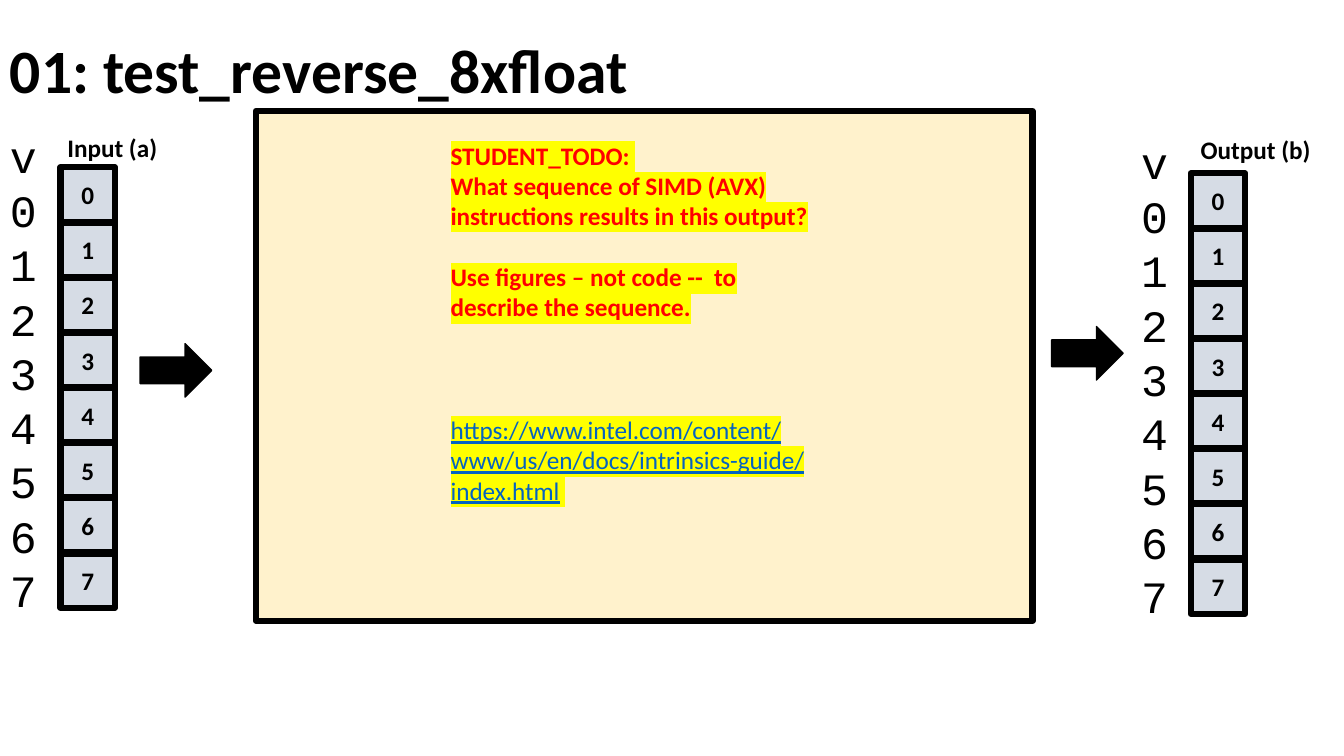
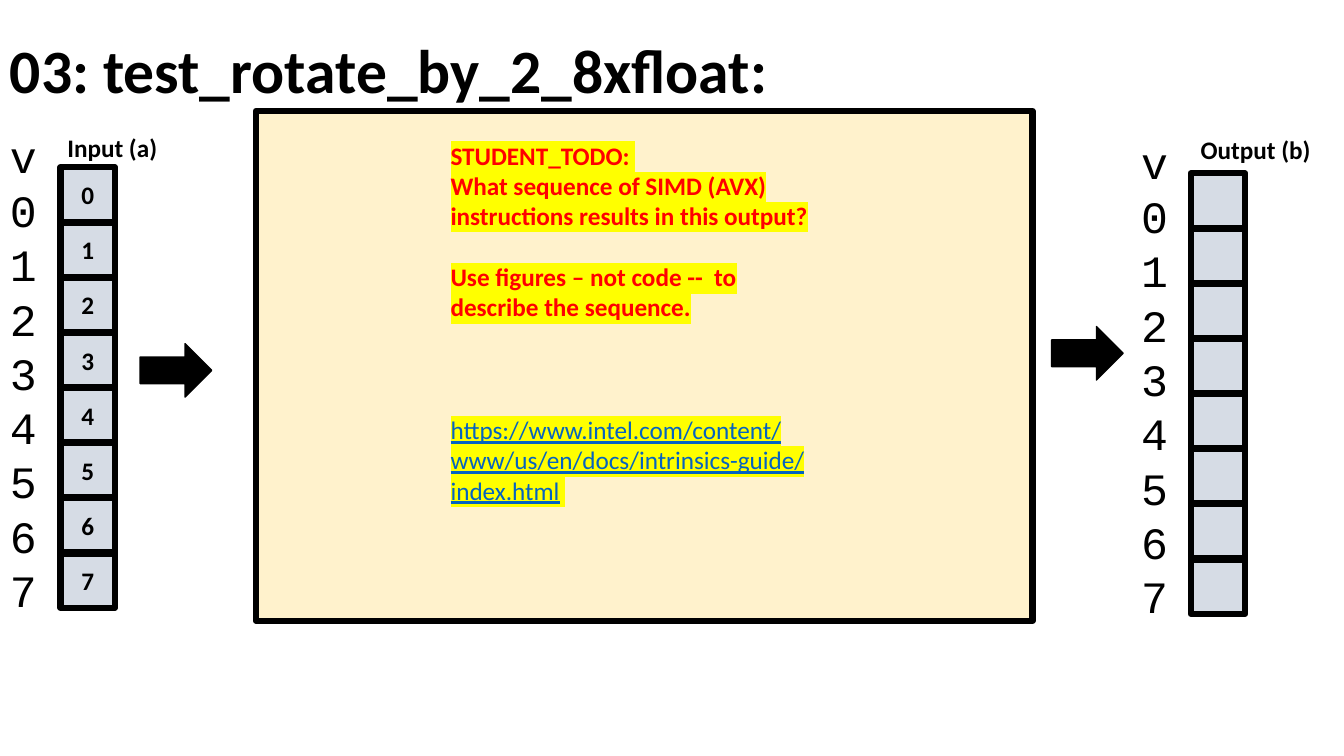
import pptx
import pptx.util
import pptx.dml.color
import pptx.enum.shapes
import pptx.enum.text
import pptx.oxml.ns
from lxml import etree

Inches, Pt = pptx.util.Inches, pptx.util.Pt
SHAPES = pptx.enum.shapes.MSO_SHAPE
ANCHOR = pptx.enum.text.MSO_ANCHOR
ALIGN = pptx.enum.text.PP_ALIGN

# Content
LANES = [str(lane) for lane in range(8)]
EXERCISES = [
    {"title": "01: test_reverse_8xfloat", "output": LANES},
    {"title": "03: test_rotate_by_2_8xfloat:", "output": [""] * len(LANES)},
]
# Task paragraphs: blank lines above, then the runs as (text, style)
TASK = [
    (0, [("STUDENT_TODO: ", "todo")]),
    (0, [("What sequence of SIMD (AVX) instructions results in this output?", "todo")]),
    (1, [("Use figures – not code --  to describe the sequence.", "todo")]),
    (3, [("https://www.intel.com/content/www/us/en/docs/intrinsics-guide/index.html", "address"),
         (" ", "plain")]),
]

# Style
COLORS = {"ink": "000000", "cell": "D6DCE5", "panel": "FFF2CC",
          "todo": "FF0000", "address": "0563C1", "marker": "FFFF00"}
RUN_STYLES = {  # colour, bold, underline
    "todo": ("todo", True, False),
    "address": ("address", False, True),
    "plain": ("todo", False, False),
}
SANS, MONO = "Calibri", "Courier New"
BODY_SIZE = 18
BODY_LINE = 22

# Geometry in inches
CELL = 0.54
CELL_PITCH = 3.83 / 7
VECTORS = {  # left edge and top of the cells, label and index positions
    "input": {"cells": (0.6, 1.66), "label": (0.57, 1.26, 1.16, 0.4),
              "index": (0, 1.22), "arrow": (1.39, 3.41)},
    "output": {"cells": (11.81, 1.72), "label": (11.81, 1.28, 1.79, 0.4),
               "index": (11.22, 1.28), "arrow": (10.43, 3.24)},
}
LABELS = {"input": "Input (a)", "output": "Output (b)"}


def color(name):
    return pptx.dml.color.RGBColor.from_string(COLORS[name])


def place(*lengths):
    return [Inches(length) for length in lengths]


def set_font(paragraph, size, name=SANS, bold=False):
    font = paragraph.font
    font.size, font.name, font.bold = Pt(size), name, bold
    font.color.rgb = color("ink")


def add_box(slide, kind, box, fill, line_width):
    shape = slide.shapes.add_shape(kind, *place(*box))
    shape.shadow.inherit = False
    shape.fill.solid()
    shape.fill.fore_color.rgb = color(fill)
    shape.line.color.rgb = color("ink")
    shape.line.width = Pt(line_width)
    return shape


def add_text(slide, box, lines, size, name=SANS, bold=False, spacing=None):
    frame = slide.shapes.add_textbox(*place(*box)).text_frame
    frame.word_wrap = True
    frame.text = "\n".join(lines)
    for paragraph in frame.paragraphs:
        if spacing:
            paragraph.line_spacing = spacing
        set_font(paragraph, size, name, bold)
    return frame


def highlight(run):
    properties = run.font._element
    marker = etree.Element(pptx.oxml.ns.qn("a:highlight"))
    etree.SubElement(marker, pptx.oxml.ns.qn("a:srgbClr"), val=COLORS["marker"])
    properties.find(pptx.oxml.ns.qn("a:solidFill")).addnext(marker)


def add_vector(slide, side, values):
    spots = VECTORS[side]
    left, top = spots["cells"]
    for row, value in enumerate(values):
        cell = add_box(slide, SHAPES.RECTANGLE,
                       (left, top + row * CELL_PITCH, CELL, CELL), "cell", 4.5)
        if value:
            cell.text_frame.text = value
            paragraph = cell.text_frame.paragraphs[0]
            paragraph.alignment = ALIGN.CENTER
            set_font(paragraph, BODY_SIZE, bold=True)
    add_text(slide, (*spots["index"], 0.55, 4.95), ["v"] + LANES, 32, MONO,
             spacing=Pt(38.8))
    add_text(slide, spots["label"], [LABELS[side]], BODY_SIZE, bold=True)
    add_box(slide, SHAPES.RIGHT_ARROW, (*spots["arrow"], 0.71, 0.53), "ink", 1)


def add_task(slide):
    add_box(slide, SHAPES.RECTANGLE, (2.54, 1.1, 7.7, 5.06), "panel", 4.5)
    frame = slide.shapes.add_textbox(*place(4.37, 1.34, 3.91, 3.74)).text_frame
    frame.word_wrap = True
    for number, (blank_lines, runs) in enumerate(TASK):
        paragraph = frame.add_paragraph() if number else frame.paragraphs[0]
        if blank_lines:
            paragraph.space_before = Pt(blank_lines * BODY_LINE)
        paragraph.font.size, paragraph.font.name = Pt(BODY_SIZE), SANS
        for text, style in runs:
            run = paragraph.add_run()
            run.text = text
            ink, run.font.bold, run.font.underline = RUN_STYLES[style]
            run.font.color.rgb = color(ink)
            highlight(run)


def main():
    deck = pptx.Presentation()
    deck.slide_width, deck.slide_height = place(13.33, 7.5)
    for exercise in EXERCISES:
        slide = deck.slides.add_slide(deck.slide_layouts[6])
        title = add_text(slide, (0, 0, 11.5, 1.45), [exercise["title"]], 44,
                         bold=True, spacing=0.9)
        title.vertical_anchor = ANCHOR.MIDDLE
        add_vector(slide, "input", LANES)
        add_vector(slide, "output", exercise["output"])
        add_task(slide)
    deck.save("out.pptx")


if __name__ == "__main__":
    main()
